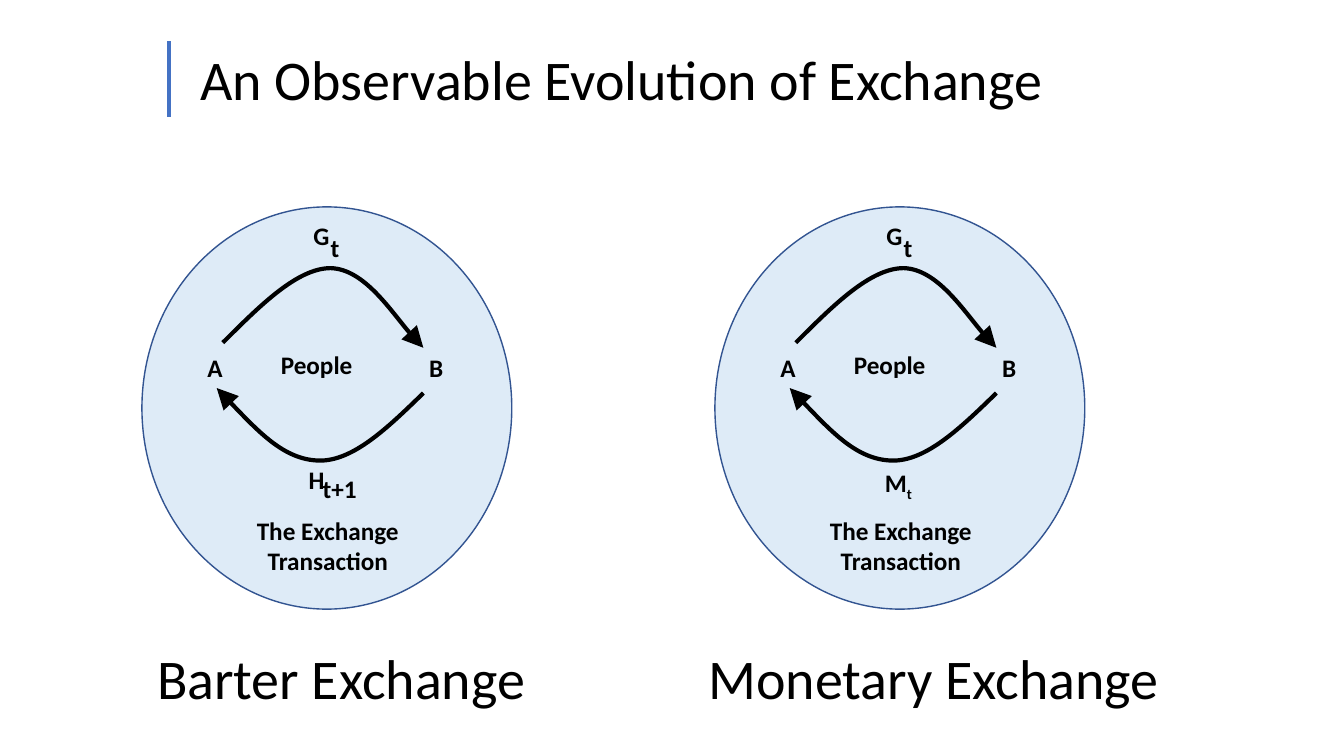
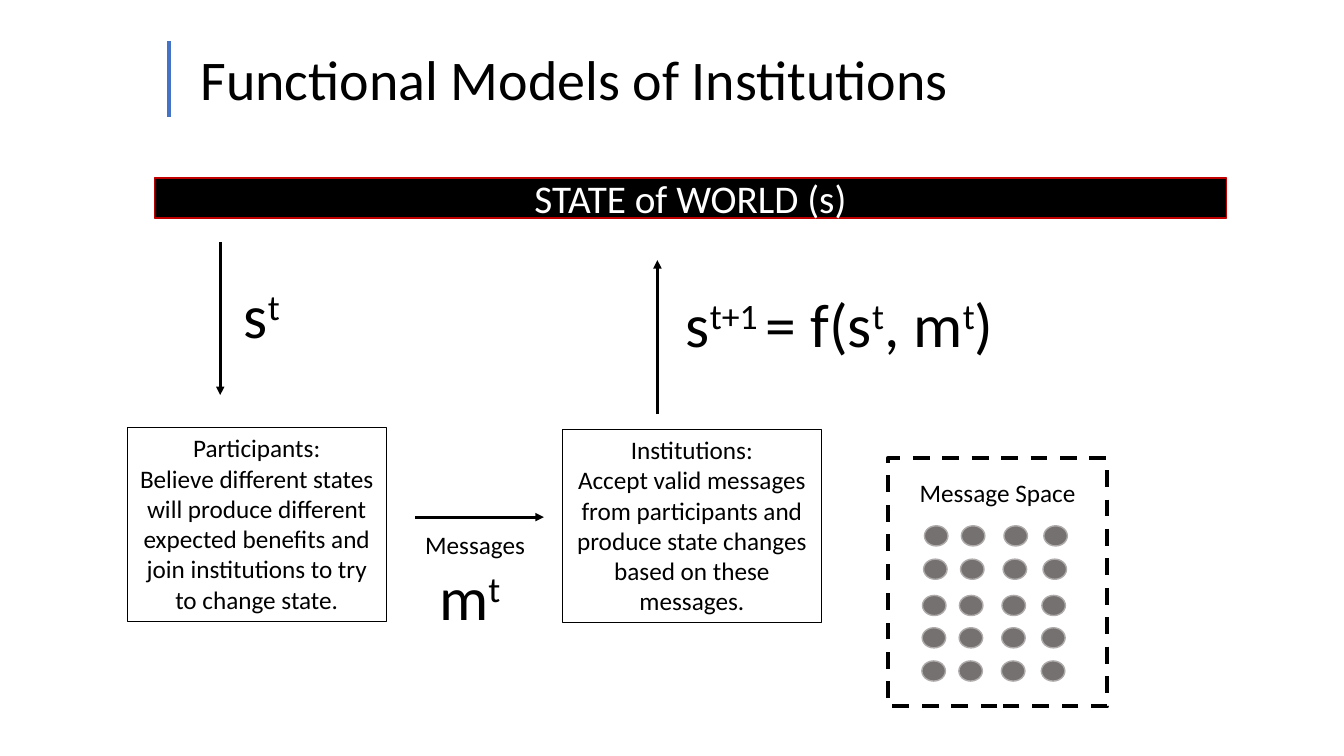
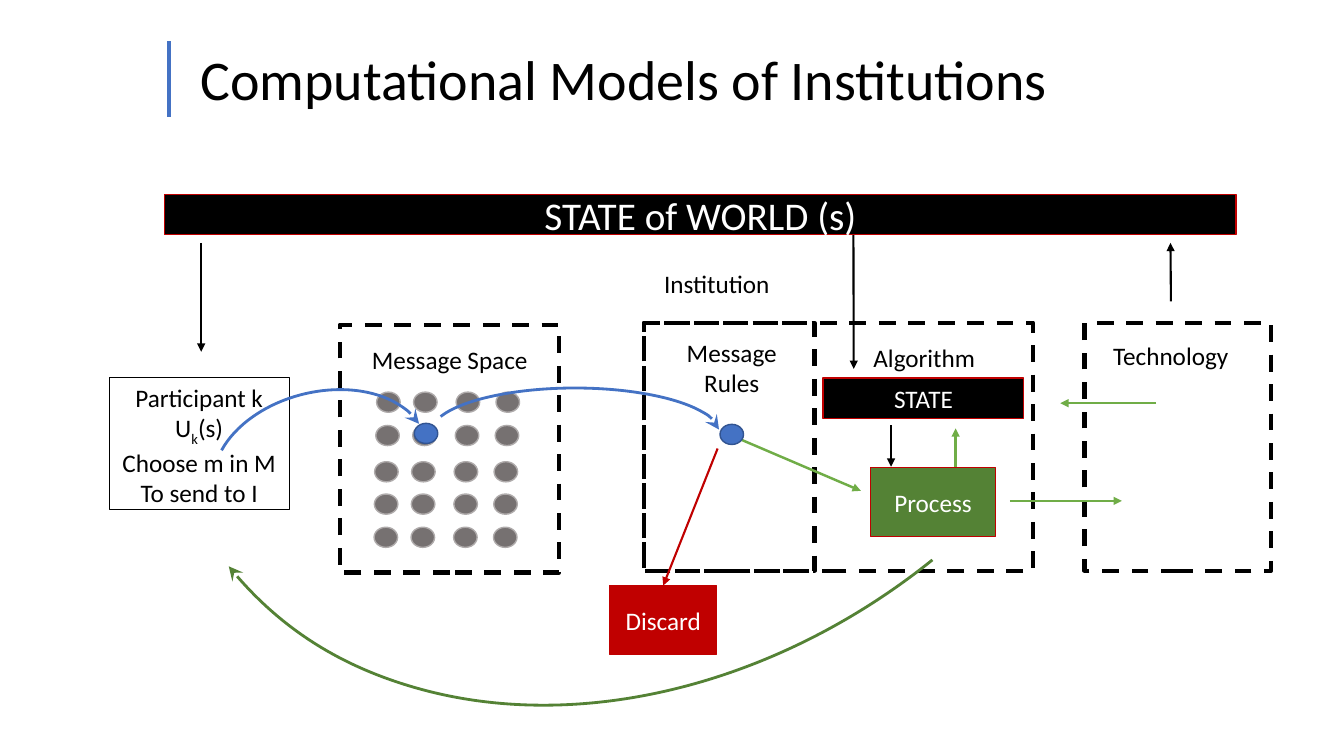
import lxml.etree
import pptx
import pptx.dml.color
import pptx.enum.dml
import pptx.enum.shapes
import pptx.enum.text
import pptx.oxml.ns
import pptx.util

Pt = pptx.util.Pt
qn = pptx.oxml.ns.qn
Shape = pptx.enum.shapes.MSO_SHAPE
Align = pptx.enum.text.PP_ALIGN
Anchor = pptx.enum.text.MSO_ANCHOR


class Theme:
    font = "Calibri"
    black, white, blue, navy = "000000", "FFFFFF", "4472C4", "325491"
    pale, gray, silver = "DEEBF7", "767171", "AFABAB"
    red, green, lime = "C00000", "548235", "70AD47"
    body, bar, title, formula = 18, 28, 40, 44


TITLES = [
    ("An Observable Evolution of Exchange", 622.1),
    ("Functional Models of Institutions", 554.4),
    ("Computational Models of Institutions", 626.4),
]
STATE_TEXT = "STATE of WORLD (s)"

PANEL_STEP = 409.3
PANEL_LABELS = [
    (["G"], 216.7, 154.1, 28.8), (["t"], 229, 162.3, 28.1), (["A"], 141.1, 248, 25.2),
    (["B"], 299.5, 248.4, 24.5), (["People"], 193.5, 246.2, 66.2),
]
PANELS = [
    ("Barter Exchange", 105.1, 280.1,
     [(["H"], 213.3, 328.3, 25.9), (["t+1"], 223.4, 334.8, 51.8)]),
    ("Monetary Exchange", 499, 339.1, [(["M", ("t", -25)], 215.7, 330.5, 79.2)]),
]
PANEL_CURVES = [
    [(159.1, 244.8), (185.8, 218.2), (212.4, 191.5), (236.2, 191.5),
     (260, 192.2), (290.9, 238.3), (302.4, 248.4)],
    [(302.4, 280.8), (277.2, 305.3), (252, 329.8), (227.5, 329),
     (203, 328.3), (178.6, 302.4), (154.8, 277.2)],
]

ACTORS = [
    (91, 305.5, ["Participants:", "Believe different states will produce different",
                 "expected benefits and join institutions to try to change state."]),
    (401.8, 306.7, ["Institutions:", "Accept valid messages from participants and produce "
                    "state changes based on these messages."]),
]
MODEL_ARROWS = [
    ((157.3, 172.8), (157.3, 282.2)),
    ((469.6, 295.9), (469.6, 185.8)),
    ((296.6, 369.4), (388.5, 369.4)),
]
FORMULAS = [
    (["s", ("t", 30)], 167, 194.4, 41.8),
    (["s", ("t+1 ", 30), "= f(s", ("t", 30), ", m", ("t", 30), ")"], 482.8, 200.9, 312.5),
]
MESSAGES = ["Messages", [" m", ("t", 30)]]

DOT_COLUMNS = [26.2, 52.6, 83, 111.5]
DOT_ROWS = [(48.2, 0), (72, -0.6), (97.9, -1.4), (121, -1.6), (144.7, -1.8)]
DOT_SIZE = (16.8, 14.4)

CHOICE = ["Participant k", ["U", ("k", -25), "(s)"], "Choose m in M", "To send to I"]
DASHED_BOXES = [(460.1, 277.9), (460.1, 121.7), (774.7, 133.2)]
MODEL_LABELS = [
    (["Institution"], 466.6, 187.9, 90.7),
    (["Message", "Rules"], 483.1, 237.2, 79.2),
    (["Algorithm"], 616.3, 241.2, 87.8),
    (["Technology"], 781.9, 239.8, 108.7),
]
BLOCKS = [
    ("Process", (621.9, 334.1, 89.3, 49), Theme.green),
    ("STATE", (588, 270, 143.3, 28.8), Theme.black),
]
FLOWS = [
    ((143.7, 173.5), (143.7, 251.3), Theme.black, 1.5),
    ((609.6, 167), (609.8, 263.5), Theme.black, 1.5),
    ((636.5, 303.8), (636.5, 333.4), Theme.black, 1.5),
    ((836.4, 215.3), (836.1, 173.5), Theme.black, 1.5),
    ((520.6, 310.3), (614.9, 350.6), Theme.lime, 1.75),
    ((682.6, 333.4), (682.6, 306), Theme.lime, 1.75),
    ((721.4, 357.8), (801.4, 357.8), Theme.lime, 1.75),
    ((825.8, 288), (757.4, 288), Theme.lime, 1.75),
]
CHOSEN_MESSAGES = [(295.9, 302.4), (514.3, 303.1)]
ARCS = [
    ((76.3, -154.1, 789.1, 622.8), 141.2, None, Theme.green),
    ((307.4, 277.2, 206.6, 64.8), 0, (112.29, 215.09), Theme.blue),
    ((151.2, 280.1, 155.5, 105.8), 345.9, (121.92, 210.52), Theme.blue),
]


def color(value):
    return pptx.dml.color.RGBColor.from_string(value)


def write(frame, paragraphs, size=Theme.body, ink=Theme.black, bold=False,
          align=Align.LEFT, wrap=True):
    frame.word_wrap = wrap
    for index, runs in enumerate(paragraphs):
        para = frame.paragraphs[0] if index == 0 else frame.add_paragraph()
        para.alignment = align
        para.font.name = Theme.font
        para.font.size = Pt(size)
        para.font.bold = bold
        para.font.color.rgb = color(ink)
        for run in [runs] if isinstance(runs, str) else runs:
            text, shift = (run, 0) if isinstance(run, str) else run
            span = para.add_run()
            span.text = text
            if shift:
                span.font._element.set("baseline", str(shift * 1000))


def add_text(shapes, paragraphs, left, top, width, **style):
    size = style.get("size", Theme.body)
    height = size * 1.2 * len(paragraphs) + 7.2
    box = shapes.add_textbox(Pt(left), Pt(top), Pt(width), Pt(height))
    write(box.text_frame, paragraphs, **style)
    return box


def outline(shape, ink, weight, arrow=None, arrow_size="med"):
    shape.line.color.rgb = color(ink)
    shape.line.width = Pt(weight)
    if arrow:
        line = shape._element.spPr.find(qn("a:ln"))
        lxml.etree.SubElement(line, qn("a:tailEnd"), type=arrow, w=arrow_size, len=arrow_size)


def add_shape(shapes, kind, bounds, fill, ink, weight, arrow=None):
    shape = shapes.add_shape(kind, *map(Pt, bounds))
    shape.shadow.inherit = False
    if fill:
        shape.fill.solid()
        shape.fill.fore_color.rgb = color(fill)
    else:
        shape.fill.background()
    outline(shape, ink, weight, arrow, "lg")
    return shape


def add_line(page, start, end, ink, weight, arrow=None):
    line = page.shapes.add_connector(
        pptx.enum.shapes.MSO_CONNECTOR.STRAIGHT, *map(Pt, start + end))
    outline(line, ink, weight, arrow)
    lxml.etree.SubElement(line._element.spPr, qn("a:effectLst"))
    return line


def add_curve(page, points, offset):
    vertices = [(Pt(x + offset), Pt(y)) for x, y in points]
    builder = page.shapes.build_freeform(*vertices[0])
    builder.add_line_segments(vertices[1:], close=False)
    curve = builder.convert_to_shape()
    segments = list(curve._element.iter(qn("a:lnTo")))
    for first in range(0, len(segments), 3):
        bezier = lxml.etree.Element(qn("a:cubicBezTo"))
        segments[first].addprevious(bezier)
        for segment in segments[first:first + 3]:
            bezier.append(segment[0])
            segment.getparent().remove(segment)
    curve.shadow.inherit = False
    curve.fill.background()
    outline(curve, Theme.black, 3, "triangle", "lg")


def add_block(page, text, bounds, fill, size=Theme.body):
    block = add_shape(page.shapes, Shape.RECTANGLE, bounds, fill, Theme.red, 1)
    block.text_frame.vertical_anchor = Anchor.MIDDLE
    write(block.text_frame, [text], size=size, ink=Theme.white, align=Align.CENTER)
    return block


def add_state_bar(page, left, top):
    add_block(page, STATE_TEXT, (left, top, 765.6, 28.8), Theme.black, Theme.bar)


def add_card(page, paragraphs, bounds, wrap=True):
    card = add_shape(page.shapes, Shape.RECTANGLE, bounds, None, Theme.black, 0.75)
    card.text_frame.vertical_anchor = Anchor.TOP
    write(card.text_frame, paragraphs, align=Align.CENTER, wrap=wrap)


def add_dashed_box(shapes, left, top, width):
    box = add_shape(shapes, Shape.RECTANGLE, (left, top, width, 177.1), None, Theme.black, 3)
    box.line.dash_style = pptx.enum.dml.MSO_LINE.DASH


def add_message_space(page, left, top):
    shapes = page.shapes.add_group_shape().shapes
    add_dashed_box(shapes, left, top, 156.8)
    add_text(shapes, ["Message Space"], left + 14.3, top + 10.3, 128.2, align=Align.CENTER)
    for row, shift in DOT_ROWS:
        for column in DOT_COLUMNS:
            add_shape(shapes, Shape.OVAL, (left + column + shift, top + row) + DOT_SIZE,
                      Theme.gray, Theme.silver, 1)


def add_page(deck, title, width):
    page = deck.slides.add_slide(deck.slide_layouts[6])
    add_line(page, (120.7, 29.5), (120.7, 83.5), Theme.blue, 2.25)
    add_text(page.shapes, [title], 136.1, 28.1, width, size=Theme.title, wrap=False)
    return page


def build_exchange(page):
    for index, (caption, caption_left, caption_width, lower_labels) in enumerate(PANELS):
        offset = index * PANEL_STEP
        add_shape(page.shapes, Shape.OVAL, (101.4 + offset, 147.8, 264.2, 287.3),
                  Theme.pale, Theme.navy, 1)
        transaction = add_text(page.shapes, ["The Exchange Transaction"], 154.6 + offset,
                               334.1, 159.1, bold=True, align=Align.CENTER)
        transaction.height = Pt(83.5)
        transaction.text_frame.margin_top = Pt(34)
        for points in PANEL_CURVES:
            add_curve(page, points, offset)
        for label, left, top, width in PANEL_LABELS + lower_labels:
            add_text(page.shapes, [label], left + offset, top, width, bold=True,
                     wrap=width > 70)
        add_text(page.shapes, [caption], caption_left, 456.1, caption_width,
                 size=Theme.title, wrap=False)


def build_functional(page):
    for start, end in MODEL_ARROWS:
        add_line(page, start, end, Theme.black, 2, "triangle")
    for left, top, paragraphs in ACTORS:
        add_card(page, paragraphs, (left, top, 184.8, 138.2))
    add_message_space(page, 634.1, 327.4)
    messages = add_text(page.shapes, MESSAGES, 296.6, 374.4, 92.2)
    messages.height = Pt(82.1)
    messages.text_frame.paragraphs[1].font.size = Pt(Theme.formula)
    for runs, left, top, width in FORMULAS:
        add_text(page.shapes, [runs], left, top, width, size=Theme.formula, wrap=width > 70)
    add_state_bar(page, 110.3, 127.1)


def build_computational(page):
    add_message_space(page, 242.8, 231.9)
    add_card(page, CHOICE, (78.1, 269.6, 128.4, 94.3), wrap=False)
    for left, width in DASHED_BOXES:
        add_dashed_box(page.shapes, left, 230.6, width)
    for paragraphs, left, top, width in MODEL_LABELS:
        add_text(page.shapes, paragraphs, left, top, width, align=Align.CENTER, wrap=False)
    for text, bounds, fill in BLOCKS:
        add_block(page, text, bounds, fill)
    discard = add_block(page, "Discard", (435.6, 418.3, 76.3, 49), Theme.red)
    for start, end, ink, weight in FLOWS:
        add_line(page, start, end, ink, weight, "triangle")
    rejection = add_line(page, (512.6, 320.4), (473.8, 418.3), Theme.red, 1.5, "triangle")
    rejection.end_connect(discard, 0)
    for position in CHOSEN_MESSAGES:
        add_shape(page.shapes, Shape.OVAL, position + DOT_SIZE, Theme.blue, Theme.navy, 1)
    for bounds, rotation, angles, ink in ARCS:
        arc = add_shape(page.shapes, Shape.ARC, bounds, None, ink, 2, "stealth")
        arc.rotation = rotation
        if angles:
            arc.adjustments[0], arc.adjustments[1] = angles
    add_state_bar(page, 117.4, 138.8)


def main():
    deck = pptx.Presentation()
    deck.slide_width, deck.slide_height = Pt(960), Pt(540)
    builders = [build_exchange, build_functional, build_computational]
    for (title, width), build in zip(TITLES, builders):
        build(add_page(deck, title, width))
    deck.save("out.pptx")


if __name__ == "__main__":
    main()
